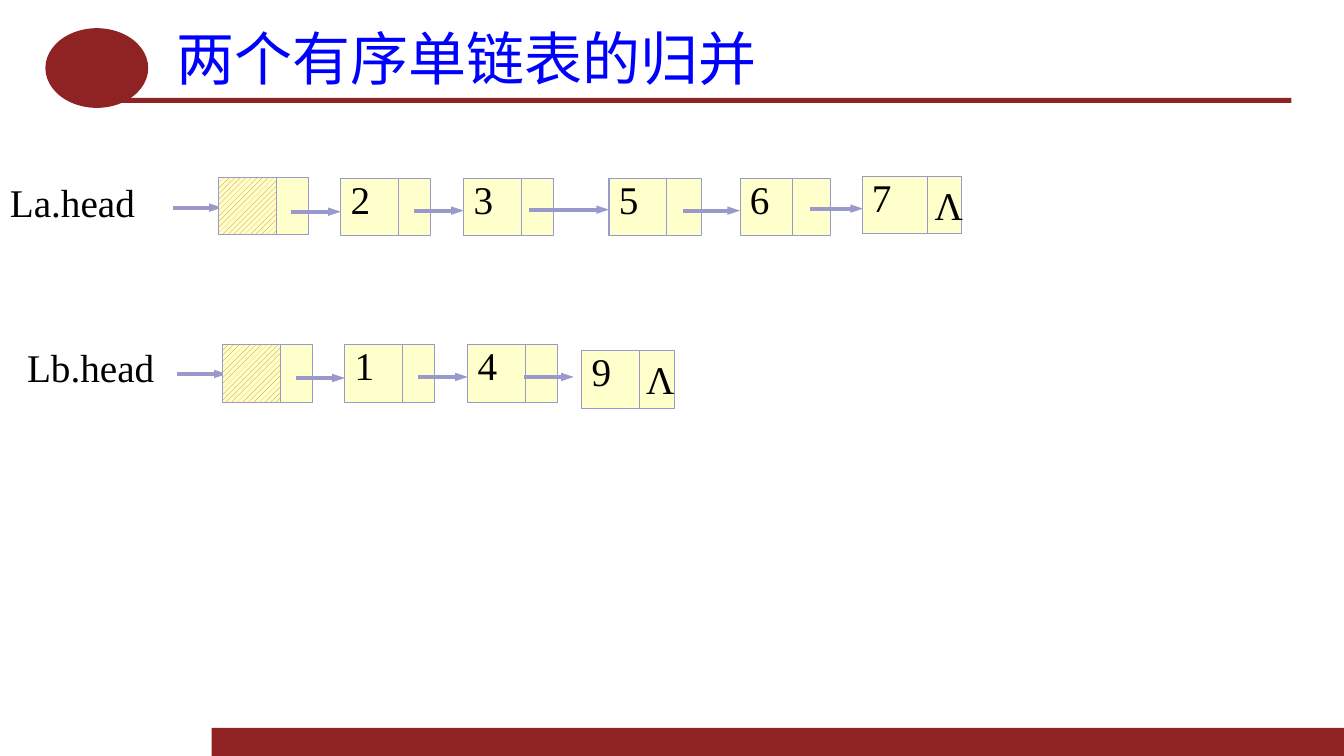
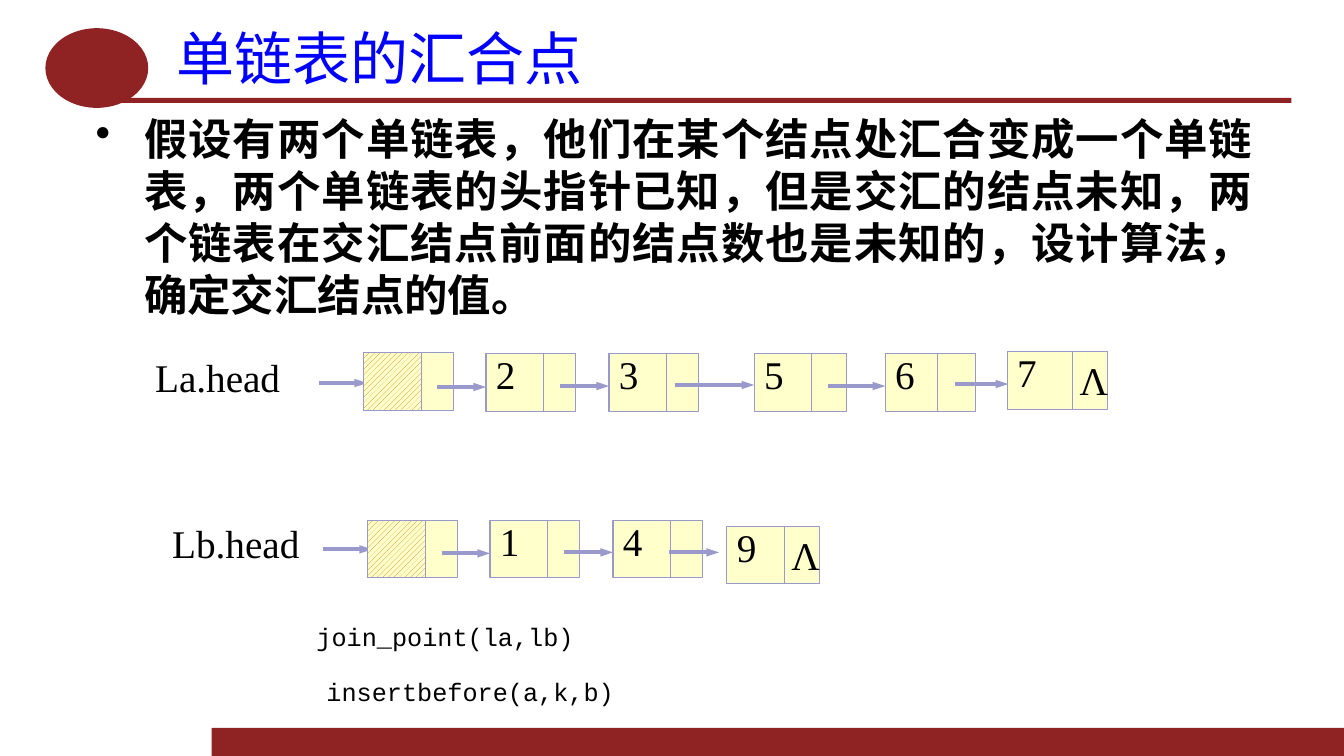
from lxml import etree
from pptx import Presentation
from pptx.dml.color import RGBColor
from pptx.enum import dml, shapes, text
from pptx.oxml.ns import qn
from pptx.util import Inches, Pt

HUES = {"band": "8F2222", "title": "0000FF", "ink": "000000", "node": "FFFFCC",
        "edge": "9999CC", "hatch": "D07E06", "paper": "FFFFFF"}
HUES = {name: RGBColor.from_string(code) for name, code in HUES.items()}
KINDS = shapes.MSO_SHAPE
WIDE = text.PP_ALIGN.JUSTIFY

BANDS = [(KINDS.RECTANGLE, 2.1, 7.22, 11.23, 0.28),
         (KINDS.RECTANGLE, 1.18, 0.97, 11.63, 0.05),
         (KINDS.OVAL, 0.45, 0.28, 1.02, 0.79)]
SIDE = 0.57

# name, name x, name y, nodes: value, box x, y, width, cell width, arrow x1, x2, y
LISTS = [
    ("La.head", 0, 1.72, 1.45, [
        ("", 2.17, 1.76, 0.89, 0.57, 1.72, 2.2, 2.06),
        ("2", 3.38, 1.77, 0.89, 0.57, 2.89, 3.38, 2.1),
        ("3", 4.6, 1.77, 0.89, 0.57, 4.11, 4.6, 2.09),
        ("5", 6.04, 1.77, 0.92, 0.57, 5.25, 6.04, 2.08),
        ("6", 7.34, 1.77, 0.9, 0.52, 6.77, 7.34, 2.09),
        ("7", 8.55, 1.75, 0.99, 0.65, 8.03, 8.56, 2.07)]),
    ("Lb.head", 0.17, 3.36, 1.48, [
        ("", 2.21, 3.42, 0.89, 0.57, 1.76, 2.25, 3.71),
        ("1", 3.42, 3.42, 0.89, 0.57, 2.94, 3.42, 3.75),
        ("4", 4.64, 3.42, 0.89, 0.57, 4.15, 4.64, 3.74),
        ("9", 5.77, 3.48, 0.92, 0.57, 5.2, 5.69, 3.74)]),
]

TASK = ("假设有两个单链表，他们在某个结点处汇合变成一个单链表，两个单链表的头指针已知，"
        "但是交汇的结点未知，两个链表在交汇结点前面的结点数也是未知的，设计算法，确定交汇结点的值。")
CALLS = [("join_point(la,lb)", 3.04, 6.11, 4.09),
         ("insertbefore(a,k,b)", 3.14, 6.66, 3.83)]
PAGES = [("两个有序单链表的归并", 0, 0, "", []),
         ("单链表的汇合点", 1.44, 1.74, TASK, CALLS)]


def write(slide, words, x, y, w, h, size, face, hue="ink"):
    box = slide.shapes.add_textbox(Inches(x), Inches(y), Inches(w), Inches(h))
    frame = box.text_frame
    frame.text = words
    para = frame.paragraphs[0]
    para.font.size = Pt(size)
    para.font.name = face
    para.font.color.rgb = HUES[hue]
    return box, frame, para


def link(slide, x1, y1, x2, y2, width):
    line = slide.shapes.add_connector(shapes.MSO_CONNECTOR.STRAIGHT,
                                      Inches(x1), Inches(y1), Inches(x2), Inches(y2))
    line.line.color.rgb = HUES["edge"]
    line.line.width = Pt(width)
    etree.SubElement(line._element.spPr, qn("a:effectLst"))
    return line


deck = Presentation()
deck.slide_width, deck.slide_height = Inches(13.33), Inches(7.5)

for title, dx, dy, task, calls in PAGES:
    slide = deck.slides.add_slide(deck.slide_layouts[6])

    for kind, *place in BANDS:
        band = slide.shapes.add_shape(kind, *map(Inches, place))
        band.shadow.inherit = False
        band.fill.solid()
        band.fill.fore_color.rgb = HUES["band"]
        band.line.fill.background()

    heads = [(title, 1.62, 0.21, 11.19, 0.71, 41.4, "Noto Sans CJK SC", "title")]
    if task:
        heads.append((task, 0.82, 1.05, 11.74, 5.32, 31, "Calibri", "ink"))
    for head in heads:
        box, frame, para = write(slide, *head)
        frame.word_wrap = True
        frame.margin_left = frame.margin_right = Inches(0.13)
        frame.margin_top = frame.margin_bottom = Inches(0.06)
        para.alignment = WIDE
        if head[0] == title:
            frame.vertical_anchor = text.MSO_ANCHOR.MIDDLE
            east = etree.SubElement(para.font._element, qn("a:ea"))
            east.set("typeface", "Noto Sans CJK SC")
        else:
            para.font.bold = True
            props = para._p.get_or_add_pPr()
            props.set("marL", str(Inches(0.48)))
            props.set("indent", str(-Inches(0.48)))
            dot = etree.Element(qn("a:buChar"), char="•")
            props.insert(0, dot)

    for name, x, y, w, nodes in LISTS:
        labels = [(name, x, y, w)]
        for value, x, y, w, cell, start, end, level in nodes:
            arrow = link(slide, start + dx, level + dy, end + dx, level + dy, 3)
            etree.SubElement(arrow.line._get_or_add_ln(), qn("a:tailEnd"),
                             type="triangle", w="sm", len="med")
            for width in [w] if value else [w, cell]:
                box = slide.shapes.add_shape(KINDS.RECTANGLE, Inches(x + dx), Inches(y + dy),
                                             Inches(width), Inches(SIDE))
                box.shadow.inherit = False
                box.line.color.rgb = HUES["edge"]
                box.line.width = Pt(0.75)
                if width == w:
                    box.fill.solid()
                    box.fill.fore_color.rgb = HUES["node"]
                else:
                    box.fill.patterned()
                    box.fill.pattern = dml.MSO_PATTERN.WIDE_UPWARD_DIAGONAL
                    box.fill.fore_color.rgb = HUES["hatch"]
                    box.fill.back_color.rgb = HUES["node"]
            link(slide, x + cell + dx, y + dy, x + cell + dx, y + SIDE + dy, 0.75)
            if value:
                labels.append((value, x, y - 0.08, 0.4))
        labels.append(("Λ", x + cell - 0.03, y, 0.49))
        for words, x, y, w in labels:
            box, frame, para = write(slide, words, x + dx, y + dy, w, SIDE,
                                     28, "Times New Roman")
            frame.word_wrap = False
            frame.auto_size = text.MSO_AUTO_SIZE.SHAPE_TO_FIT_TEXT

    for words, x, y, w in calls:
        box, frame, para = write(slide, words, x, y, w, 0.4, 18, "Courier New")
        frame.word_wrap = True
        frame.vertical_anchor = text.MSO_ANCHOR.MIDDLE
        box.fill.solid()
        box.fill.fore_color.rgb = HUES["paper"]

deck.save("out.pptx")
